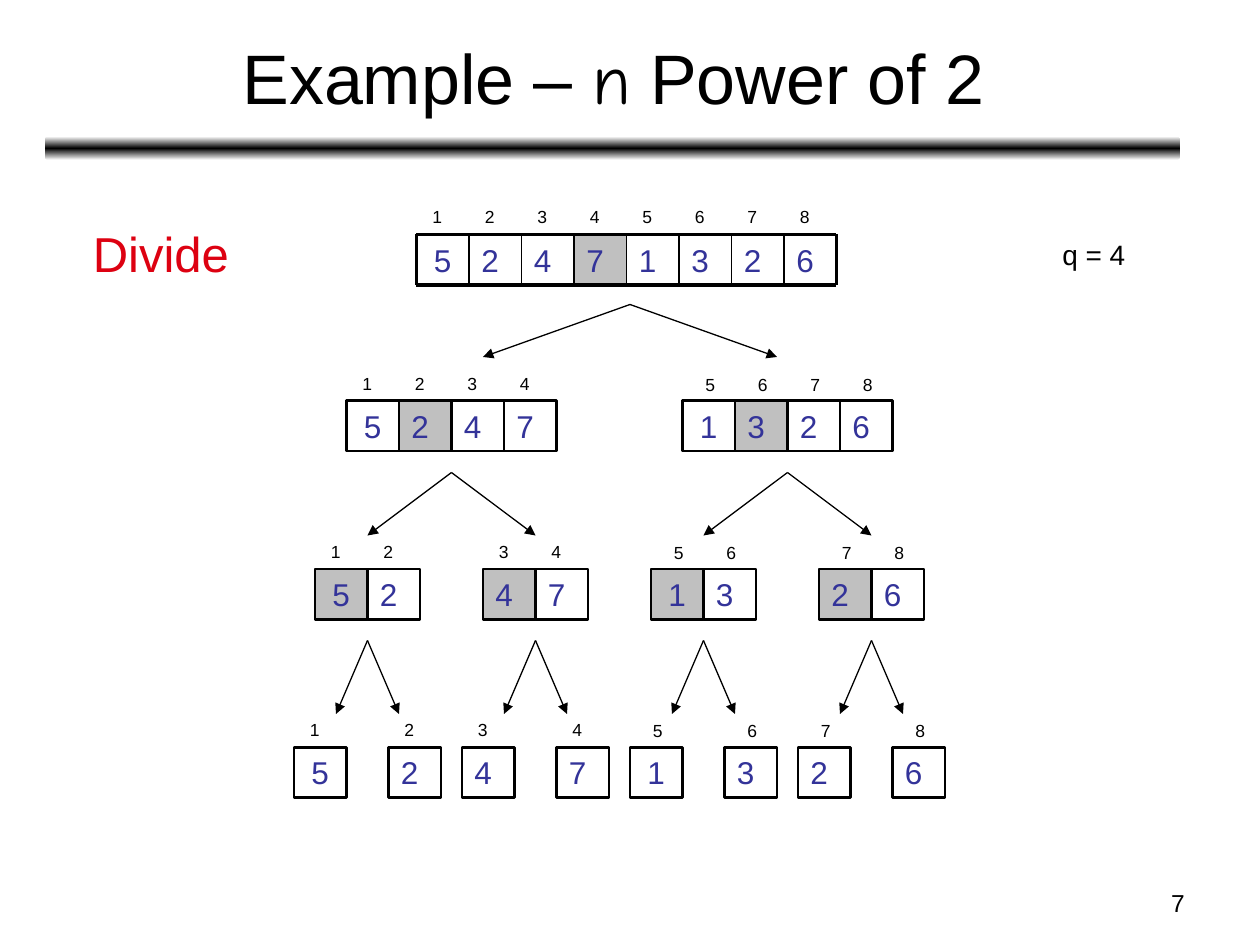
from copy import deepcopy
from lxml.etree import SubElement
from pptx import Presentation
from pptx.dml.color import RGBColor
from pptx.enum.shapes import MSO_CONNECTOR, MSO_SHAPE
from pptx.enum.text import MSO_ANCHOR, PP_ALIGN
from pptx.oxml.ns import qn
from pptx.util import Pt

BLACK, GREY, NAVY, RED = "000000", "C0C0C0", "333399", "DD0111"
VALUES = [5, 2, 4, 7, 1, 3, 2, 6]
CELL_WIDTH, CELL_HEIGHT = 30, 28.8


def write(shape, text, size, color, align=PP_ALIGN.LEFT):
    """Put one line of Arial text, wrapped and top-anchored, into a shape."""
    frame = shape.text_frame
    frame.word_wrap = True
    frame.vertical_anchor = MSO_ANCHOR.TOP
    frame.text = text
    para = frame.paragraphs[0]
    para.alignment = align
    for span in para.runs:
        span.font.name, span.font.size = "Arial", Pt(size)
        span.font.color.rgb = RGBColor.from_string(color)


def draw_line(shapes, x1, y1, x2, y2, width, arrow=False):
    """Draw a black line, with an arrowhead at its end if asked."""
    line = shapes.add_connector(MSO_CONNECTOR.STRAIGHT, Pt(x1), Pt(y1), Pt(x2), Pt(y2))
    line.line.color.rgb = RGBColor.from_string(BLACK)
    line.line.width = Pt(width)
    if arrow:
        SubElement(line.line._get_or_add_ln(), qn("a:tailEnd"), type="triangle")
    SubElement(line._element.spPr, qn("a:effectLst"))


deck = Presentation()
deck.slide_width, deck.slide_height = Pt(720), Pt(540)
page = deck.slides.add_slide(deck.slide_layouts[5])

# Title, with the variable in its own font
title = page.shapes.title
title.left, title.top, title.width, title.height = Pt(26.6), Pt(8), Pt(648), Pt(71)
title.text_frame.vertical_anchor = MSO_ANCHOR.MIDDLE
para = title.text_frame.paragraphs[0]
para.alignment = PP_ALIGN.CENTER
for text, font in [("Example – ", "Arial"), ("n", "Comic Neue"), (" Power of 2", "Arial")]:
    span = para.add_run()
    span.text = text
    span.font.name, span.font.size = font, Pt(40)
    span.font.color.rgb = RGBColor.from_string(BLACK)

# Rule under the title: white, black, white from top to bottom
bar = page.shapes.add_shape(MSO_SHAPE.ROUNDED_RECTANGLE, Pt(25.7), Pt(78), Pt(648.5), Pt(13.5))
bar.shadow.inherit = False
bar.line.fill.background()
bar.fill.gradient()
bar.fill.gradient_angle = 270
stop_list = bar._element.spPr.find(".//" + qn("a:gsLst"))
stop_list.append(deepcopy(stop_list[0]))
for stop, position, color in zip(bar.fill.gradient_stops, (0, 0.5, 1), ("FFFFFF", BLACK, "FFFFFF")):
    stop.position = position
    stop.color.rgb = RGBColor.from_string(color)

# Each level: top, array lefts, numbers of the shaded cells
levels = [
    (134, [238], {4}),
    (229, [198, 390], {2, 6}),
    (325.2, [180, 276, 372, 468], {1, 3, 5, 7}),
    (427, [168, 222, 264, 318, 360, 414, 456, 510], set()),
]
# Arrows into each lower level: start height, end height, sideways reach, apexes
arrows = [
    None,
    (174, 204, 84, [360]),
    (270, 306, 48, [258, 450]),
    (366, 408, 18, [210, 306, 402, 498]),
]

for depth, (top, lefts, shaded) in enumerate(levels):
    shapes = page.shapes.add_group_shape().shapes
    length = len(VALUES) // len(lefts)
    for index, value in enumerate(VALUES):
        array, column = divmod(index, length)
        left = lefts[array] + column * CELL_WIDTH
        in_right_half = depth > 0 and index >= 4

        label = shapes.add_textbox(Pt(left + (6 if in_right_half else 2)),
                                   Pt(top - (19 if in_right_half else 19.6)), Pt(18), Pt(19.4))
        write(label, str(index + 1), 10, BLACK)

        cell = shapes.add_shape(MSO_SHAPE.RECTANGLE, Pt(left), Pt(top), Pt(CELL_WIDTH), Pt(CELL_HEIGHT))
        cell.shadow.inherit = False
        if index + 1 in shaded:
            cell.fill.solid()
            cell.fill.fore_color.rgb = RGBColor.from_string(GREY)
        else:
            cell.fill.background()
        if depth:
            cell.line.color.rgb = RGBColor.from_string(BLACK)
            cell.line.width = Pt(1.5)
        else:
            cell.line.fill.background()
        write(cell, str(value), 18, NAVY)
        if column == 0 and index % 4 == 0:
            cell.text_frame.margin_left = Pt(10)

    if depth:
        start, end, reach, apexes = arrows[depth]
        for apex in apexes:
            for side in (-reach, reach):
                draw_line(shapes, apex, start, apex + side, end, 0.75, arrow=True)
    else:
        left, right, bottom = lefts[0], lefts[0] + 8 * CELL_WIDTH, top + CELL_HEIGHT
        for y in (top, bottom):
            draw_line(shapes, left, y, right, y, 2.25)
        for column in range(9):
            x = left + column * CELL_WIDTH
            draw_line(shapes, x, top, x, bottom, 2.25 if column in (0, 8) else 1)

# Free-standing texts
for text, left, top, width, height, size, color, align in [
    ("q = 4", 600, 132, 78, 26.6, 16, BLACK, PP_ALIGN.LEFT),
    ("Divide", 46, 124, 92.2, 41, 28, RED, PP_ALIGN.LEFT),
    ("7", 516, 504, 168, 25.2, 14, BLACK, PP_ALIGN.RIGHT),
]:
    box = page.shapes.add_textbox(Pt(left), Pt(top), Pt(width), Pt(height))
    write(box, text, size, color, align)

deck.save("out.pptx")
